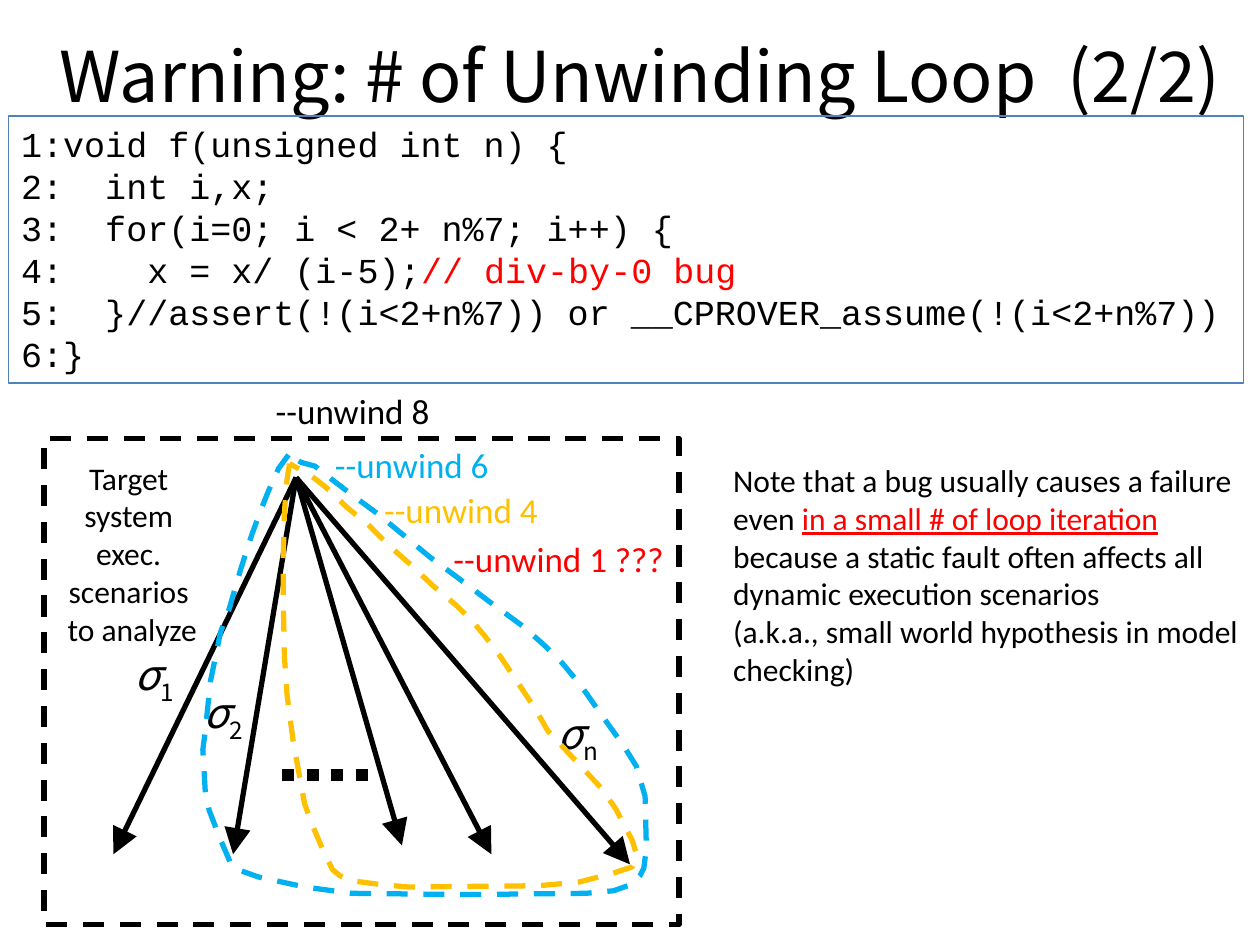
from math import cos, radians, sin

from lxml import etree
from pptx import Presentation
from pptx.dml.color import RGBColor
from pptx.enum.dml import MSO_LINE_DASH_STYLE as Dash
from pptx.enum.shapes import MSO_CONNECTOR, MSO_SHAPE
from pptx.enum.text import MSO_ANCHOR, PP_ALIGN
from pptx.oxml.ns import qn
from pptx.util import Inches, Pt

BLACK, RED, BLUE, GOLD = "000000", "FF0000", "00B0F0", "FFC000"
SANS, MONO, NOTO = "Calibri", "Courier New", "Noto Sans CJK KR"

TITLE = "Warning: # of Unwinding Loop  (2/2)"

# Each paragraph is a list of (text, colour) runs.
CODE = [
    [("1:void f(unsigned int n) {", BLACK)],
    [("2:  int i,x;", BLACK)],
    [("3:  for(i=0; i < 2+ n%7; i++) {", BLACK)],
    [("4:    x = x/ (i-5);", BLACK), ("// div-by-0 bug", RED)],
    [("5:  }//assert(!(i<2+n%7)) or __CPROVER_assume(!(i<2+n%7))", BLACK)],
    [("6:}", BLACK)],
]
NOTE = [
    [("Note that a bug usually causes a failure even ", BLACK),
     ("in a small # of loop iteration ", RED),
     ("because a static fault often affects all dynamic execution scenarios", BLACK)],
    [("(a.k.a., small world hypothesis in model checking)", BLACK)],
]
TARGET = [
    [("Target \vsystem ", BLACK)],
    [("exec. \vscenarios \vto analyze", BLACK)],
]
LABELS = [
    ("--unwind 8", BLACK, 2.09, 3.04, 1.43),
    ("--unwind 6", BLUE, 2.56, 3.47, 1.43),
    ("--unwind 4", GOLD, 2.95, 3.83, 1.43),
    ("--unwind 1 ???", RED, 3.5, 4.22, 1.88),
]
SIGMAS = [("1", 0.97, 5.1), ("2", 1.52, 5.4), ("n", 4.33, 5.57)]

ROOT = (2.35, 3.79)
ENDS = [(0.9, 6.78), (1.85, 6.78), (3.9, 6.78), (3.19, 6.71), (5, 6.86)]

BLUE_LOOP = [
    (2.29, 3.61), (2.21, 3.72), (2.13, 3.9), (2.07, 4.05), (2, 4.24),
    (1.91, 4.52), (1.82, 4.83), (1.75, 5.02), (1.67, 5.41), (1.63, 5.8),
    (1.61, 5.95), (1.63, 6.29), (1.66, 6.43), (1.74, 6.64), (1.83, 6.85),
    (1.91, 6.91), (2.05, 6.96), (2.42, 7.04), (2.79, 7.09), (3.69, 7.1),
    (4.65, 7.09), (4.87, 7.07), (5.01, 7.02), (5.08, 6.95), (5.11, 6.89),
    (5.13, 6.73), (5.12, 6.32), (5.05, 6.08), (4.95, 5.92), (4.75, 5.64),
    (4.61, 5.44), (4.46, 5.26), (4.33, 5.13), (4.15, 4.97), (3.89, 4.78),
    (3.64, 4.59), (3.41, 4.42), (3.23, 4.27), (3, 4.08), (2.81, 3.94),
    (2.64, 3.81), (2.5, 3.7), (2.39, 3.67),
]
GOLD_LOOP = [
    (2.3, 3.68), (2.28, 3.81), (2.26, 4.06), (2.25, 4.45), (2.25, 4.75),
    (2.26, 5.21), (2.28, 5.51), (2.33, 5.89), (2.42, 6.38), (2.49, 6.57),
    (2.55, 6.71), (2.64, 6.9), (2.7, 6.95), (2.79, 6.99), (3.02, 7.02),
    (3.24, 7.04), (4.28, 7.03), (4.6, 7), (4.87, 6.93), (5.02, 6.88),
    (5.06, 6.8), (5.02, 6.67), (4.89, 6.42), (4.77, 6.25), (4.35, 5.8),
    (4.24, 5.61), (4.1, 5.4), (3.98, 5.22), (3.86, 5.06), (3.76, 4.94),
    (3.63, 4.81), (3.44, 4.65), (3.26, 4.48), (3.1, 4.34), (2.93, 4.17),
    (2.76, 4.03), (2.58, 3.86), (2.45, 3.76), (2.39, 3.73),
]
GOLD_MID, GOLD_TURN = (3.5, 5.32), -10.7


def rgb(code):
    return RGBColor.from_string(code)


def style(run, size, face, color):
    font = run.font
    font.size, font.name = Pt(size), face
    font.color.rgb = rgb(color)


def fill_text(frame, paras, size, face, align=PP_ALIGN.LEFT):
    for i, runs in enumerate(paras):
        para = frame.paragraphs[0] if i == 0 else frame.add_paragraph()
        para.alignment = align
        para.text = runs[0][0]
        for text, _ in runs[1:]:
            para.add_run().text = text
        # A line break splits its text into several runs of one colour.
        colors = [color for text, color in runs for _ in text.split("\v")]
        for run, color in zip(para.runs, colors):
            style(run, size, face, color)


def add_text(box, paras, size, face=SANS, align=PP_ALIGN.LEFT, wrap=True):
    frame = slide.shapes.add_textbox(*map(Inches, box)).text_frame
    frame.word_wrap = wrap
    fill_text(frame, paras, size, face, align)
    return frame


def set_line(shape, color, width, dash=None):
    shape.line.color.rgb = rgb(color)
    shape.line.width = Pt(width)
    if dash:
        shape.line.dash_style = dash


def add_rect(box, color, width, dash=None):
    rect = slide.shapes.add_shape(MSO_SHAPE.RECTANGLE, *map(Inches, box))
    rect.shadow.inherit = False
    rect.fill.background()
    set_line(rect, color, width, dash)
    return rect


def add_line(start, end, width, dash=None, arrow=False):
    line = slide.shapes.add_connector(
        MSO_CONNECTOR.STRAIGHT, *map(Inches, start + end))
    set_line(line, BLACK, width, dash)
    props = line.element.spPr
    etree.SubElement(props, qn("a:effectLst"))
    if arrow:
        etree.SubElement(props.find(qn("a:ln")), qn("a:tailEnd"),
                         type="triangle", w="lg", len="lg")


def add_loop(points, color):
    first, *rest = [(Inches(x), Inches(y)) for x, y in points]
    pen = slide.shapes.build_freeform(*first)
    pen.add_line_segments(rest, close=True)
    loop = pen.convert_to_shape()
    loop.shadow.inherit = False
    loop.fill.background()
    set_line(loop, color, 3, Dash.DASH)
    return loop


def turn(point, mid, angle):
    """Turn a point clockwise about mid by an angle in degrees."""
    x, y = point[0] - mid[0], point[1] - mid[1]
    c, s = cos(radians(angle)), sin(radians(angle))
    return mid[0] + x * c - y * s, mid[1] + x * s + y * c


deck = Presentation()
deck.slide_width, deck.slide_height = Inches(10), Inches(7.5)
slide = deck.slides.add_slide(deck.slide_layouts[5])

title = slide.shapes.title
title.left, title.top, title.width, title.height = map(
    Inches, (0.28, -0.03, 9.6, 1.25))
title.text_frame.vertical_anchor = MSO_ANCHOR.MIDDLE
fill_text(title.text_frame, [[(TITLE, BLACK)]], 40, NOTO, PP_ALIGN.CENTER)

for end in ENDS:
    add_line(ROOT, end, 3, arrow=True)
for sub, x, y in SIGMAS:
    frame = add_text((x, y, 0.67, 0.4), [[("σ", BLACK), (sub, BLACK)]], 24, NOTO)
    para = frame.paragraphs[0]
    para.space_before = Pt(4.8)
    sigma, index = para.runs
    sigma.font.italic = True
    index.font.italic = False
    index.font._element.set("baseline", "-25000")
add_line((2.24, 6.15), (2.94, 6.15), 7, Dash.ROUND_DOT)

add_rect((0.35, 3.48, 5.04, 3.86), BLACK, 3, Dash.DASH)
add_loop(BLUE_LOOP, BLUE)
level = [turn(point, GOLD_MID, -GOLD_TURN) for point in GOLD_LOOP]
add_loop(level, GOLD).rotation = GOLD_TURN

for text, color, x, y, width in LABELS:
    add_text((x, y, width, 0.44), [[(text, color)]], 20, wrap=False)
add_text((0.43, 3.59, 1.24, 1.62), TARGET, 18, align=PP_ALIGN.CENTER)

code = add_rect((0.07, 0.92, 9.8, 2.12), "4F81BD", 0.75).text_frame
code.word_wrap = True
code.vertical_anchor = MSO_ANCHOR.TOP
fill_text(code, CODE, 20, MONO)

note = add_text((5.72, 3.61, 4.28, 1.92), NOTE, 18)
note.paragraphs[0].runs[1].font.underline = True

deck.save("out.pptx")
